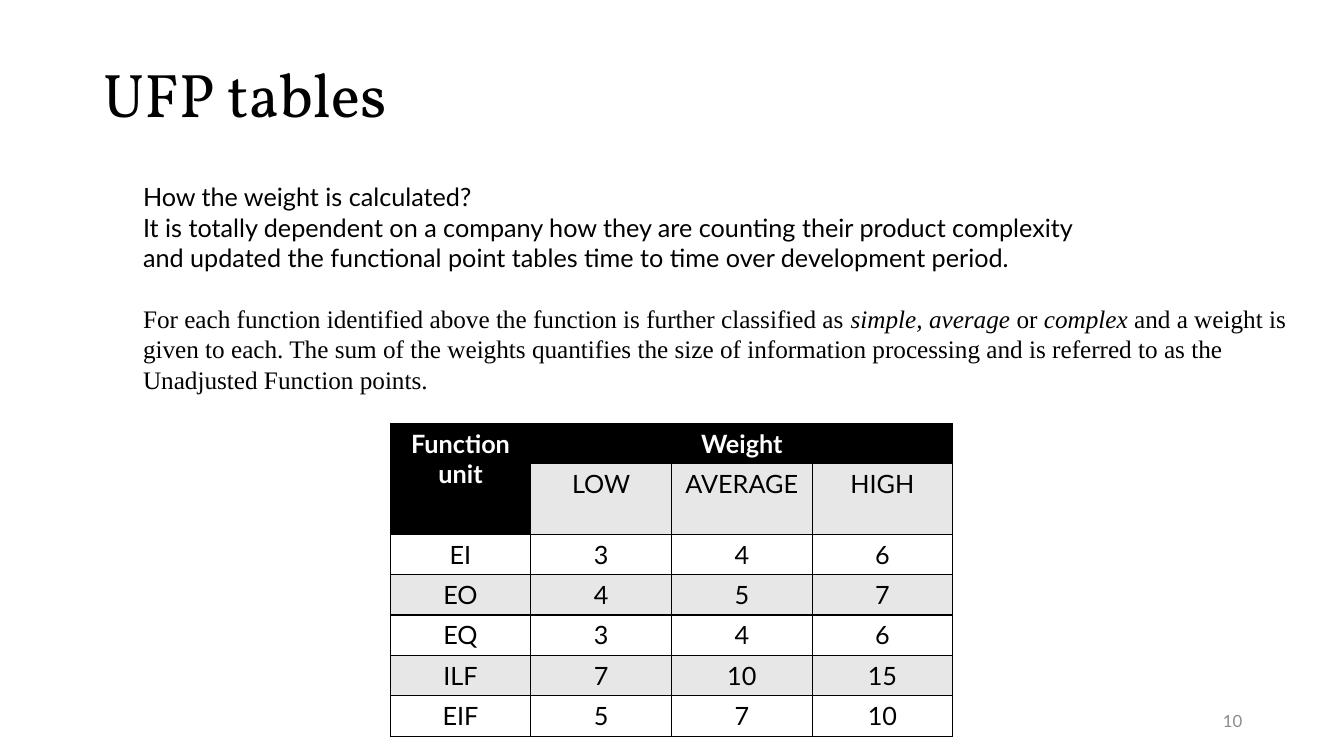
from lxml import etree
from pptx import Presentation
from pptx.dml.color import RGBColor
from pptx.enum.text import MSO_ANCHOR as Anchor, MSO_AUTO_SIZE as AutoSize, PP_ALIGN as Align
from pptx.oxml.ns import qn
from pptx.util import Inches, Pt

BLACK, WHITE, BAND, GREY = "000000", "FFFFFF", "E7E7E7", "8C8C8C"
SANS, SERIF, HEADING = "Lato", "Times New Roman", "Vollkorn"

EXPLANATION = [
    (SANS, ["How the weight is calculated?"]),
    (SANS, ["It is totally dependent on a company how they are counting their product complexity"]),
    (SANS, ["and updated the functional point tables time to time over development period."]),
    (SERIF, ["For each function identified above the function is further classified as ",
             "simple, average ", "or ", "complex ", "and a weight is"]),
    (SERIF, ["given to each. The sum of the weights quantifies the size of information "
             "processing and is referred to as the"]),
    (SERIF, ["Unadjusted Function points."]),
]

WEIGHTS = [
    ["Function unit", "Weight", "", ""],
    ["", "LOW", "AVERAGE", "HIGH"],
    ["EI", "3", "4", "6"],
    ["EO", "4", "5", "7"],
    ["EQ", "3", "4", "6"],
    ["ILF", "7", "10", "15"],
    ["EIF", "5", "7", "10"],
]


def color(value):
    return RGBColor.from_string(value)


def add_text(paragraph, text, size=18, name=SANS, fill=BLACK, bold=False, italic=False,
             align=Align.LEFT):
    paragraph.alignment = align
    run = paragraph.add_run()
    run.text = text
    font = run.font
    font.size, font.name, font.bold, font.italic = Pt(size), name, bold, italic
    font.color.rgb = color(fill)


def place(shape, left, top, width, height):
    shape.left, shape.top = Inches(left), Inches(top)
    shape.width, shape.height = Inches(width), Inches(height)


def add_title(slide, text):
    title = slide.shapes.title
    place(title, 0.92, 0.4, 11.5, 1.13)
    title.text_frame.vertical_anchor = Anchor.MIDDLE
    paragraph = title.text_frame.paragraphs[0]
    paragraph.line_spacing = 0.9
    add_text(paragraph, text, size=44, name=HEADING)


def add_explanation(slide):
    box = slide.shapes.add_textbox(Inches(1.32), Inches(1.75), Inches(11.72), Inches(2.22))
    frame = box.text_frame
    frame.word_wrap = False
    frame.auto_size = AutoSize.SHAPE_TO_FIT_TEXT
    previous = SANS
    for index, (name, parts) in enumerate(EXPLANATION):
        paragraph = frame.add_paragraph() if index else frame.paragraphs[0]
        paragraph.line_spacing = Pt(21.7)
        if name != previous:
            paragraph.space_before = Pt(21.7)
        previous = name
        for position, part in enumerate(parts):
            add_text(paragraph, part, name=name, italic=position % 2 == 1)


def add_borders(cell):
    properties = cell._tc.get_or_add_tcPr()
    for index, side in enumerate(("a:lnL", "a:lnR", "a:lnT", "a:lnB")):
        line = etree.Element(qn(side), w=str(Pt(1)))
        fill = etree.SubElement(line, qn("a:solidFill"))
        etree.SubElement(fill, qn("a:srgbClr"), val=BLACK)
        properties.insert(index, line)


def add_weight_table(slide):
    rows, columns = len(WEIGHTS), len(WEIGHTS[0])
    frame = slide.shapes.add_table(rows, columns, Inches(3.87), Inches(4.2),
                                   Inches(5.58), Inches(0.4 * rows))
    table = frame.table
    table.cell(0, 0).merge(table.cell(1, 0))
    table.cell(0, 1).merge(table.cell(0, 3))
    for row, values in enumerate(WEIGHTS):
        for column, text in enumerate(values):
            cell = table.cell(row, column)
            header = row == 0 or (row == 1 and column == 0)
            cell.fill.solid()
            cell.fill.fore_color.rgb = color(BLACK if header else BAND if row % 2 else WHITE)
            add_borders(cell)
            if text:
                add_text(cell.text_frame.paragraphs[0], text, bold=header,
                         fill=WHITE if header else BLACK, align=Align.CENTER)


def add_slide_number(slide, number):
    box = slide.shapes.add_textbox(Inches(9.42), Inches(6.95), Inches(3), Inches(0.4))
    box.text_frame.word_wrap = True
    box.text_frame.vertical_anchor = Anchor.MIDDLE
    add_text(box.text_frame.paragraphs[0], number, size=12, fill=GREY, align=Align.RIGHT)


def main():
    presentation = Presentation()
    presentation.slide_width, presentation.slide_height = Inches(13.33), Inches(7.5)
    slide = presentation.slides.add_slide(presentation.slide_layouts[5])
    add_title(slide, "UFP tables")
    add_weight_table(slide)
    add_slide_number(slide, "10")
    add_explanation(slide)
    presentation.save("out.pptx")


if __name__ == "__main__":
    main()
